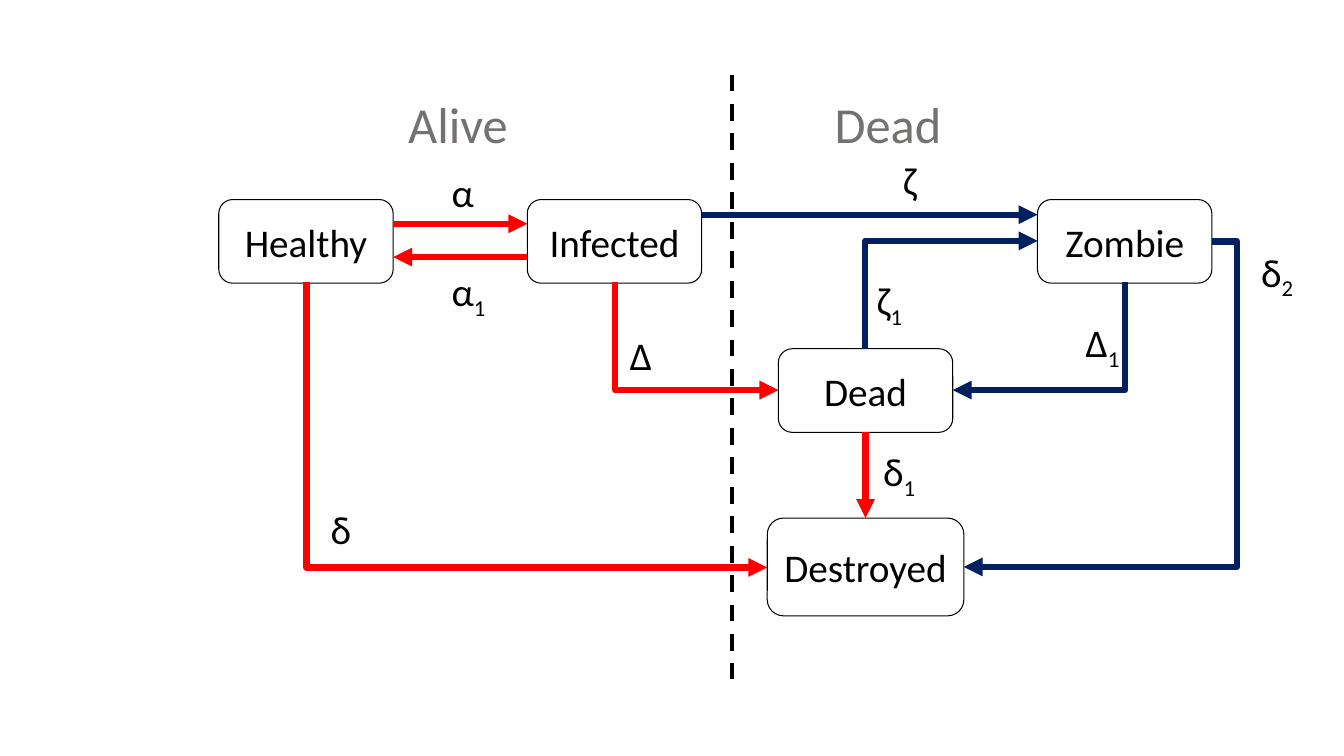
from lxml import etree
from pptx import Presentation
from pptx.dml.color import RGBColor
from pptx.enum.dml import MSO_LINE
from pptx.enum.shapes import MSO_CONNECTOR as Conn, MSO_SHAPE as Shape
from pptx.enum.text import MSO_ANCHOR as Anchor, MSO_AUTO_SIZE as AutoSize, PP_ALIGN as Align
from pptx.oxml.ns import qn
from pptx.util import Inches, Pt

BLACK, GREY, RED, NAVY = "000000", "767171", "FF0000", "002060"
TOP, LEFT, BOTTOM, RIGHT = range(4)

prs = Presentation()
prs.slide_width, prs.slide_height = Inches(13.33), Inches(7.5)
slide = prs.slides.add_slide(prs.slide_layouts[6])
shapes = slide.shapes


def write(frame, text, subscript="", size=28, color=BLACK, align=None, wrap=True):
    frame.word_wrap = wrap
    paragraph = frame.paragraphs[0]
    paragraph.alignment = align
    for part, baseline in ((text, None), (subscript, "-25000")):
        if part:
            run = paragraph.add_run()
            run.text = part
            run.font.name, run.font.size = "Calibri", Pt(size)
            run.font.color.rgb = RGBColor.from_string(color)
            if baseline:
                run.font._element.set("baseline", baseline)


def draw_line(kind, start, end, color, width, arrow=True):
    line = shapes.add_connector(kind, *(Inches(v) for v in (*start, *end)))
    line.line.color.rgb = RGBColor.from_string(color)
    line.line.width = Pt(width)
    if arrow:
        etree.SubElement(line.line._get_or_add_ln(), qn("a:tailEnd"), type="triangle")
    etree.SubElement(line._element.spPr, qn("a:effectLst"))
    return line


# States
states = {}
for name, x, y, w, h in (
    ("Healthy", 2.17, 1.98, 1.73, 0.83),
    ("Infected", 5.23, 1.98, 1.73, 0.83),
    ("Zombie", 10.29, 1.98, 1.73, 0.83),
    ("Dead", 7.72, 3.46, 1.73, 0.83),
    ("Destroyed", 7.61, 5.14, 1.95, 0.97),
):
    state = shapes.add_shape(Shape.ROUNDED_RECTANGLE, *(Inches(v) for v in (x, y, w, h)))
    state.shadow.inherit = False
    state.fill.background()
    state.line.color.rgb = RGBColor.from_string(BLACK)
    state.line.width = Pt(0.75)
    state.text_frame.vertical_anchor = Anchor.MIDDLE
    write(state.text_frame, name, align=Align.CENTER, wrap=False)
    states[name] = state

# Border between the living and the dead
border = draw_line(Conn.STRAIGHT, (7.26, 0.74), (7.26, 6.74), BLACK, 3, arrow=False)
border.line.dash_style = MSO_LINE.DASH

# Zombie to Destroyed, around the right-hand side
around = draw_line(Conn.ELBOW, (12.02, 2.39), (9.56, 5.63), NAVY, 4.5)
around.begin_connect(states["Zombie"], RIGHT)
around.end_connect(states["Destroyed"], RIGHT)
guides = around._element.spPr.prstGeom.get_or_add_avLst()
etree.SubElement(guides, qn("a:gd"), name="adj1", fmla="val -10100")

# One-corner transitions that leave a state vertically
for source, side, target, end_side, start, end, color, turn, flips in (
    ("Healthy", BOTTOM, "Destroyed", LEFT, (3.04, 2.8), (7.61, 5.63), RED, 270, "H"),
    ("Infected", BOTTOM, "Dead", LEFT, (6.1, 2.8), (7.72, 3.87), RED, 270, "H"),
    ("Zombie", BOTTOM, "Dead", RIGHT, (11.16, 2.8), (9.45, 3.87), NAVY, 90, ""),
    ("Dead", TOP, "Zombie", LEFT, (8.58, 3.46), (10.29, 2.39), NAVY, 90, "HV"),
):
    corner = draw_line(Conn.ELBOW, start, end, color, 4.5)
    corner.begin_connect(states[source], side)
    corner.end_connect(states[target], end_side)
    corner._element.spPr.prstGeom.set("prst", "bentConnector2")
    # The box is stored unturned: same centre, sides swapped
    (x1, y1), (x2, y2) = start, end
    w, h = abs(y2 - y1), abs(x2 - x1)
    corner.left, corner.top = Inches((x1 + x2 - w) / 2), Inches((y1 + y2 - h) / 2)
    corner.width, corner.height = Inches(w), Inches(h)
    xfrm = corner._element.spPr.find(qn("a:xfrm"))
    xfrm.set("rot", str(turn * 60000))
    for axis in "HV":
        xfrm.set("flip" + axis, str(int(axis in flips)))

# Straight transitions
for start, end, color in (
    ((3.9, 2.22), (5.23, 2.22), RED),
    ((5.23, 2.55), (3.9, 2.55), RED),
    ((6.96, 2.13), (10.29, 2.13), NAVY),
):
    draw_line(Conn.STRAIGHT, start, end, color, 4.5)
destruction = draw_line(Conn.STRAIGHT, (8.58, 4.29), (8.58, 5.14), RED, 4.5)
destruction.begin_connect(states["Dead"], BOTTOM)
destruction.end_connect(states["Destroyed"], TOP)

# Headings and rate labels
heading = {"size": 36, "color": GREY, "wrap": False}
for text, subscript, x, y, w, h, style in (
    ("Alive", "", 3.95, 0.87, 1.2, 0.71, heading),
    ("Dead", "", 8.18, 0.87, 1.27, 0.71, heading),
    ("α", "", 4.38, 1.62, 0.58, 0.57, {}),
    ("α", "1", 4.38, 2.6, 0.58, 0.57, {}),
    ("δ", "", 3.18, 4.96, 0.58, 0.57, {}),
    ("ζ", "", 8.86, 1.5, 0.32, 0.57, {}),
    ("ζ", "1", 8.6, 2.69, 0.7, 0.57, {}),
    ("Δ", "1", 10.67, 3.11, 0.7, 0.57, {}),
    ("Δ", "", 6.15, 3.24, 0.7, 0.57, {}),
    ("δ", "1", 8.66, 4.39, 0.58, 0.57, {}),
    ("δ", "2", 12.41, 2.41, 0.58, 0.57, {}),
):
    label = shapes.add_textbox(*(Inches(v) for v in (x, y, w, h)))
    label.text_frame.auto_size = AutoSize.SHAPE_TO_FIT_TEXT
    write(label.text_frame, text, subscript, **style)

prs.save("out.pptx")
